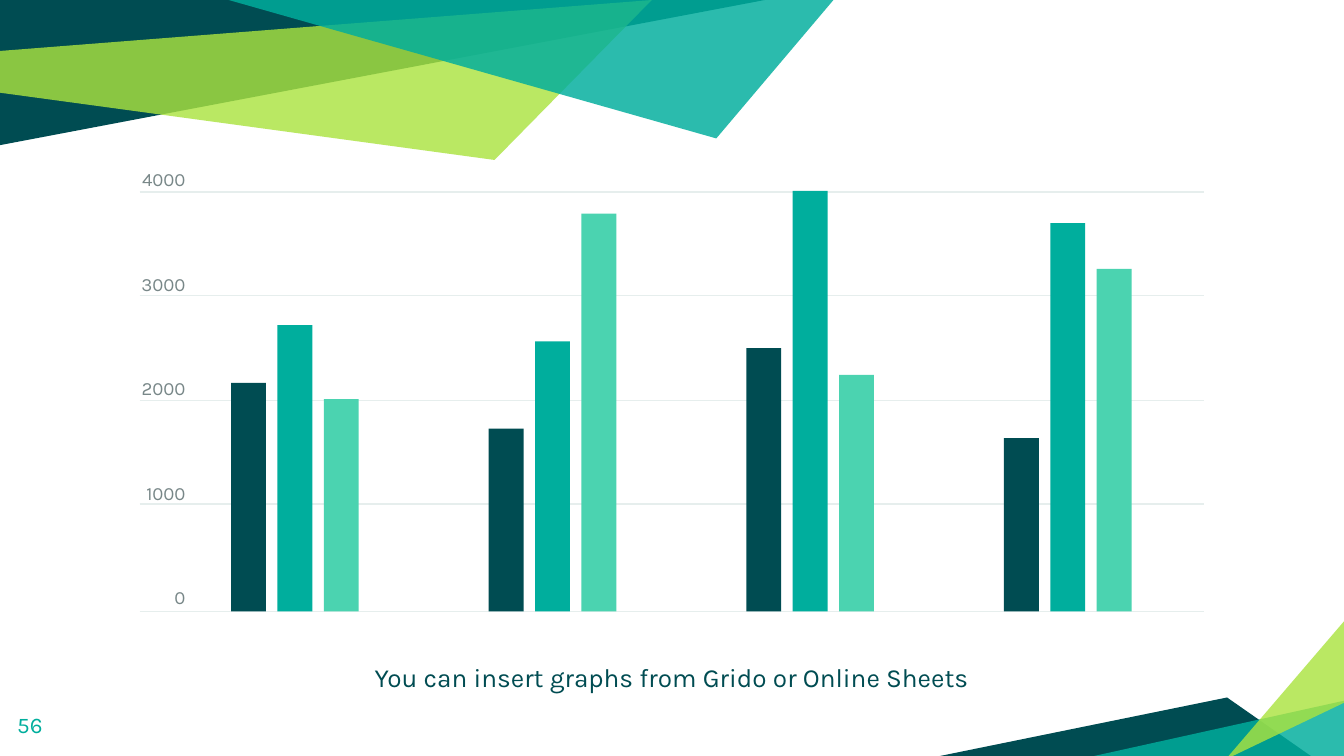
from lxml import etree
from pptx import Presentation
from pptx.dml.color import RGBColor
from pptx.enum.shapes import MSO_CONNECTOR, MSO_SHAPE
from pptx.enum.text import PP_ALIGN
from pptx.oxml.ns import qn
from pptx.util import Inches, Pt

LEFT, CENTER, RIGHT = PP_ALIGN.LEFT, PP_ALIGN.CENTER, PP_ALIGN.RIGHT
RECTANGLE = MSO_SHAPE.RECTANGLE
STRAIGHT = MSO_CONNECTOR.STRAIGHT

FONT = "Karla"
COLORS = {
    "dark": "004C52",
    "teal": "00AE9D",
    "mint": "4BD3B0",
    "lime": "ABE33F",
    "grid": "E6EEED",
    "axis": "788788",
}

FACETS = [
    ("dark", 100, [(0, 0), (0, 1.08), (5.69, 0)]),
    ("lime", 81, [(-0.01, 0.38), (0, 0.69), (3.68, 1.19), (4.85, 0)]),
    ("dark", 100, [(6.97, 5.63), (9.76, 5.63), (9.13, 5.19)]),
    ("teal", 83, [(10.02, 5.21), (10.02, 5.65), (8.03, 5.65)]),
    ("lime", 81, [(10.02, 5.22), (10.02, 4.6), (9.12, 5.65)]),
    ("teal", 83, [(1.7, 0), (5.33, 1.03), (6.21, -0.01), (6.09, 0)]),
]

GRID_LEFT, GRID_RIGHT = 1.04, 8.96
GRID_TOPS = [1.43, 2.2, 2.98, 3.75, 4.55]
AXIS_LABELS = ["4000", "3000", "2000", "1000", "0"]

BASELINE = 4.55
BAR_LEFT, BAR_WIDTH = 1.72, 0.26
GROUP_STEP, SERIES_STEP = 23 / 12, 0.69 / 2
SERIES_COLORS = ["dark", "teal", "mint"]
BAR_HEIGHTS = [
    (1.7, 2.13, 1.58),
    (1.36, 2.01, 2.96),
    (1.96, 3.13, 1.76),
    (1.29, 2.89, 2.55),
]


def rgb(name):
    return RGBColor.from_string(COLORS[name])


def paint(shape, color):
    shape.shadow.inherit = False
    shape.fill.solid()
    shape.fill.fore_color.rgb = rgb(color)
    shape.line.fill.background()


def add_facet(page, color, opacity, points):
    corners = [(Inches(x), Inches(y)) for x, y in points]
    builder = page.shapes.build_freeform(*corners[0])
    builder.add_line_segments(corners[1:], close=True)
    facet = builder.convert_to_shape()
    paint(facet, color)
    if opacity < 100:
        tint = facet._element.spPr.find(f"{qn('a:solidFill')}/{qn('a:srgbClr')}")
        etree.SubElement(tint, qn("a:alpha"), val=str(opacity * 1000))


def add_text(page, place, lines, size, color, align=LEFT, inset=0.1, gap=0):
    box = page.shapes.add_textbox(*[Inches(length) for length in place])
    frame = box.text_frame
    frame.word_wrap = True
    frame.margin_left = frame.margin_right = Inches(inset)
    frame.margin_top = frame.margin_bottom = Inches(inset)
    for index, line in enumerate(lines):
        para = frame.add_paragraph() if index else frame.paragraphs[0]
        para.alignment = align
        if index and gap:
            para.space_before = Pt(gap)
        span = para.add_run()
        span.text = line
        span.font.name = FONT
        span.font.size = Pt(size)
        span.font.color.rgb = rgb(color)


def add_gridline(page, top):
    line = page.shapes.add_connector(
        STRAIGHT, Inches(GRID_LEFT), Inches(top), Inches(GRID_RIGHT), Inches(top)
    )
    line.line.color.rgb = rgb("grid")
    line.line.width = Pt(0.75)
    etree.SubElement(line._element.spPr, qn("a:effectLst"))


def add_bar(page, group, series, height):
    left = BAR_LEFT + group * GROUP_STEP + series * SERIES_STEP
    bar = page.shapes.add_shape(
        RECTANGLE,
        Inches(left),
        Inches(BASELINE - height),
        Inches(BAR_WIDTH),
        Inches(height),
    )
    paint(bar, SERIES_COLORS[series])


def main():
    deck = Presentation()
    deck.slide_width = Inches(10)
    deck.slide_height = Inches(10 * 9 / 16)
    page = deck.slides.add_slide(deck.slide_layouts[6])

    for color, opacity, points in FACETS:
        add_facet(page, color, opacity, points)

    caption = "You can insert graphs from Grido or Online Sheets"
    add_text(page, (0.5, 4.82, 9, 0.57), [caption], 14, "dark", CENTER)
    add_text(page, (0.03, 5.19, 0.6, 0.43), ["56"], 12, "teal")

    for top in GRID_TOPS:
        add_gridline(page, top)
    add_text(page, (GRID_LEFT, 1.25, 0.34, 3.31), AXIS_LABELS, 10, "axis",
             RIGHT, inset=0, gap=44)

    for group, heights in enumerate(BAR_HEIGHTS):
        for series, height in enumerate(heights):
            add_bar(page, group, series, height)

    deck.save("out.pptx")


if __name__ == "__main__":
    main()
